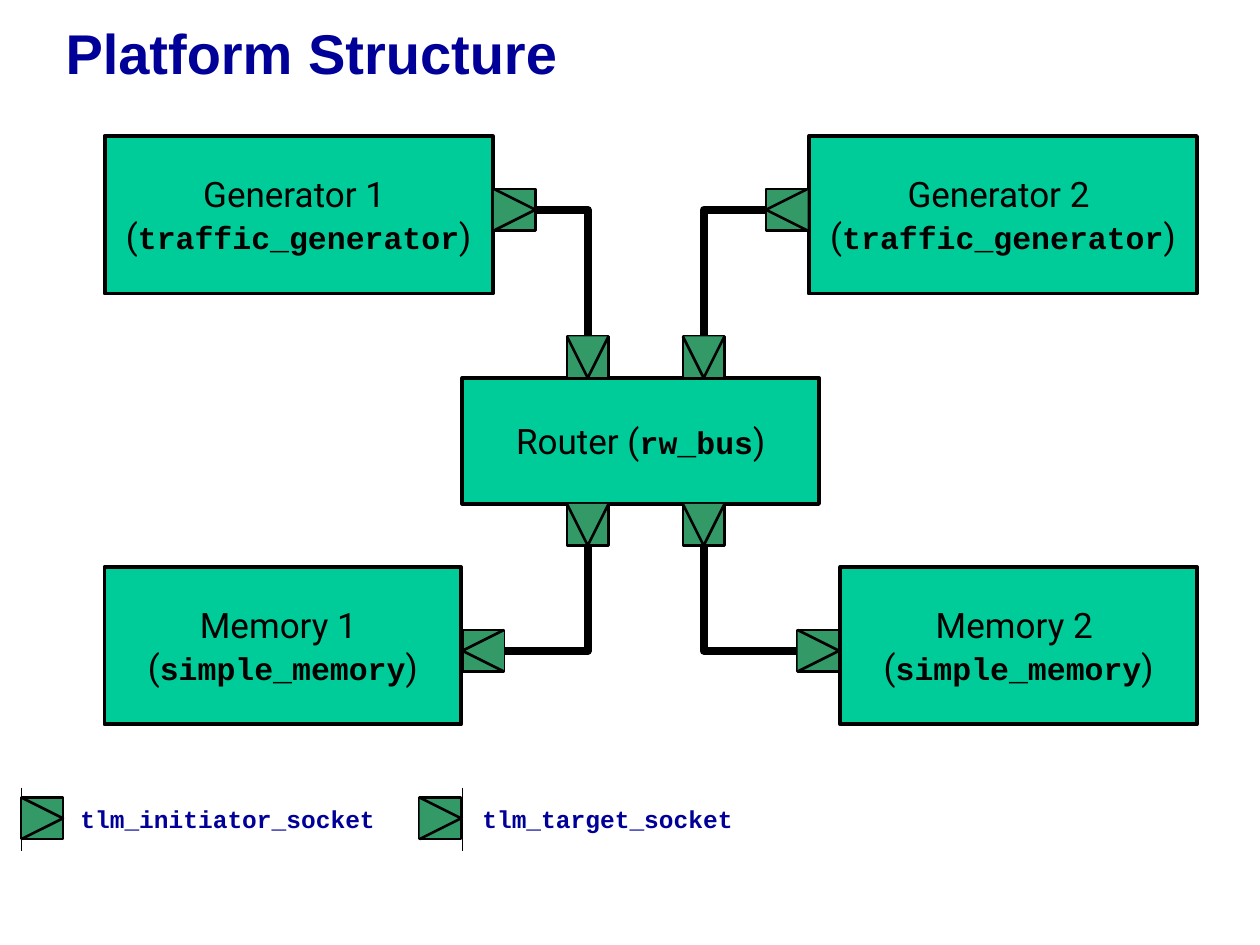
from lxml import etree
from pptx import Presentation
from pptx.dml.color import RGBColor
from pptx.enum.shapes import MSO_CONNECTOR, MSO_SHAPE
from pptx.enum.text import MSO_ANCHOR, MSO_AUTO_SIZE, PP_ALIGN
from pptx.oxml.ns import qn
from pptx.util import Inches, Pt

NAVY = RGBColor(0x00, 0x00, 0x99)
BLACK = RGBColor(0x00, 0x00, 0x00)
MINT = RGBColor(0x00, 0xCC, 0x99)
GREEN = RGBColor(0x33, 0x99, 0x66)

RECT = MSO_SHAPE.RECTANGLE
ELBOW, STRAIGHT = MSO_CONNECTOR.ELBOW, MSO_CONNECTOR.STRAIGHT
CENTER, LEFT = PP_ALIGN.CENTER, PP_ALIGN.LEFT
MIDDLE = MSO_ANCHOR.MIDDLE
FIT = MSO_AUTO_SIZE.SHAPE_TO_FIT_TEXT

SANS, MONO = "Roboto", "Courier New"
SIDE = 0.33
TOP, WEST, BOTTOM, EAST = range(4)

# Start, tip and end of the arrowhead, as fractions of the socket's side
HEADS = {
    "right": [(0, 0), (1, 0.5), (0, 1)],
    "left": [(1, 1), (0, 0.5), (1, 0)],
    "down": [(1, 0), (0.5, 1), (0, 0)],
}


def add_run(para, text, size, font, color, bold=False):
    run = para.add_run()
    run.text = text
    run.font.size = Pt(size)
    run.font.name = font
    run.font.bold = bold
    run.font.color.rgb = color


def paint(shape, fill, width):
    shape.shadow.inherit = False
    shape.fill.solid()
    shape.fill.fore_color.rgb = fill
    shape.line.color.rgb = BLACK
    shape.line.width = Pt(width)


def add_title(slide, text):
    title = slide.shapes.title
    title.left, title.top = Inches(0.42), Inches(-0.17)
    title.width, title.height = Inches(9.5), Inches(1.25)
    title.text_frame.vertical_anchor = MIDDLE
    para = title.text_frame.paragraphs[0]
    para.alignment = LEFT
    para.line_spacing = 0.85
    add_run(para, text, 32, "Arial", NAVY, True)


def add_block(shapes, x, y, w, h, label, kind):
    """Draw a module; a label that ends in a space puts the kind on a new line."""
    box = shapes.add_shape(RECT, Inches(x), Inches(y), Inches(w), Inches(h))
    paint(box, MINT, 2.25)
    frame = box.text_frame
    frame.word_wrap = False
    frame.vertical_anchor = MIDDLE
    para = frame.paragraphs[0]
    para.alignment = CENTER
    add_run(para, label, 20, SANS, BLACK)
    if label.endswith(" "):
        para = frame.add_paragraph()
        para.alignment = CENTER
    add_run(para, "(", 20, SANS, BLACK)
    add_run(para, kind, 18, MONO, BLACK, True)
    add_run(para, ")", 20, SANS, BLACK)


def add_socket(shapes, x, y, way):
    """Draw a square with an arrowhead in a group; return group and square."""
    group = shapes.add_group_shape()
    square = group.shapes.add_shape(
        RECT, Inches(x), Inches(y), Inches(SIDE), Inches(SIDE))
    paint(square, GREEN, 1.5)
    points = [(Inches(x + SIDE * u), Inches(y + SIDE * v))
              for u, v in HEADS[way]]
    pen = group.shapes.build_freeform(*points[0])
    pen.add_line_segments(points[1:], close=False)
    paint(pen.convert_to_shape(), GREEN, 1.5)
    return group, square


def add_line(shapes, kind, x1, y1, x2, y2, width):
    line = shapes.add_connector(
        kind, Inches(x1), Inches(y1), Inches(x2), Inches(y2))
    line.line.color.rgb = BLACK
    line.line.width = Pt(width)
    etree.SubElement(line._element.spPr, qn("a:effectLst"))
    return line


def add_link(shapes, outer, side, inner, end):
    """Join two sockets by a line with one right-angled turn."""
    link = add_line(shapes, ELBOW, 0, 0, 1, 1, 4.5)
    link._element.spPr.find(qn("a:prstGeom")).set("prst", "bentConnector2")
    link.begin_connect(outer, side)
    link.end_connect(inner, end)


def add_key(shapes, x, edge, text_x, text_w, text):
    """Draw a legend entry: socket, module edge and name."""
    group, _ = add_socket(shapes, x, 6.33, "right")
    add_line(group.shapes, STRAIGHT, edge, 6.25, edge, 6.75, 0.75)
    box = group.shapes.add_textbox(
        Inches(text_x), Inches(6.33), Inches(text_w), Inches(0.34))
    box.text_frame.word_wrap = False
    box.text_frame.auto_size = FIT
    add_run(box.text_frame.paragraphs[0], text, 14, MONO, NAVY, True)


def main():
    prs = Presentation()
    prs.slide_width, prs.slide_height = Inches(10), Inches(7.5)
    slide = prs.slides.add_slide(prs.slide_layouts[5])
    shapes = slide.shapes
    add_title(slide, "Platform Structure")

    for x, y, w, h, label, kind in [
        (0.83, 1.08, 3.08, 1.25, "Generator 1 ", "traffic_generator"),
        (6.42, 1.08, 3.08, 1.25, "Generator 2 ", "traffic_generator"),
        (3.67, 3, 2.83, 1, "Router ", "rw_bus"),
        (0.83, 4.5, 2.83, 1.25, "Memory 1 ", "simple_memory"),
        (6.67, 4.5, 2.83, 1.25, "Memory 2 ", "simple_memory"),
    ]:
        if kind == "rw_bus":
            add_router(shapes, x, y, w, h, label, kind)
        else:
            add_block(shapes, x, y, w, h, label, kind)

    # Outer socket, its way and exit side, then router socket and entry side
    for x, y, way, side, port_x, port_y, end in [
        (3.92, 1.5, "right", EAST, 4.5, 2.67, TOP),
        (6.08, 1.5, "left", WEST, 5.42, 2.67, TOP),
        (3.67, 5, "left", EAST, 4.5, 4, BOTTOM),
        (6.33, 5, "right", WEST, 5.42, 4, BOTTOM),
    ]:
        _, outer = add_socket(shapes, x, y, way)
        _, port = add_socket(shapes, port_x, port_y, "down")
        add_link(shapes, outer, side, port, end)

    add_key(shapes, 0.17, 0.17, 0.54, 2.54, "tlm_initiator_socket")
    add_key(shapes, 3.33, 3.67, 3.73, 2.19, "tlm_target_socket")
    prs.save("out.pptx")


def add_router(shapes, x, y, w, h, label, kind):
    """Draw the router, whose label and kind share one line."""
    box = shapes.add_shape(RECT, Inches(x), Inches(y), Inches(w), Inches(h))
    paint(box, MINT, 2.25)
    box.text_frame.word_wrap = False
    box.text_frame.vertical_anchor = MIDDLE
    para = box.text_frame.paragraphs[0]
    para.alignment = CENTER
    add_run(para, label + "(", 20, SANS, BLACK)
    add_run(para, kind, 18, MONO, BLACK, True)
    add_run(para, ")", 20, SANS, BLACK)


if __name__ == "__main__":
    main()
